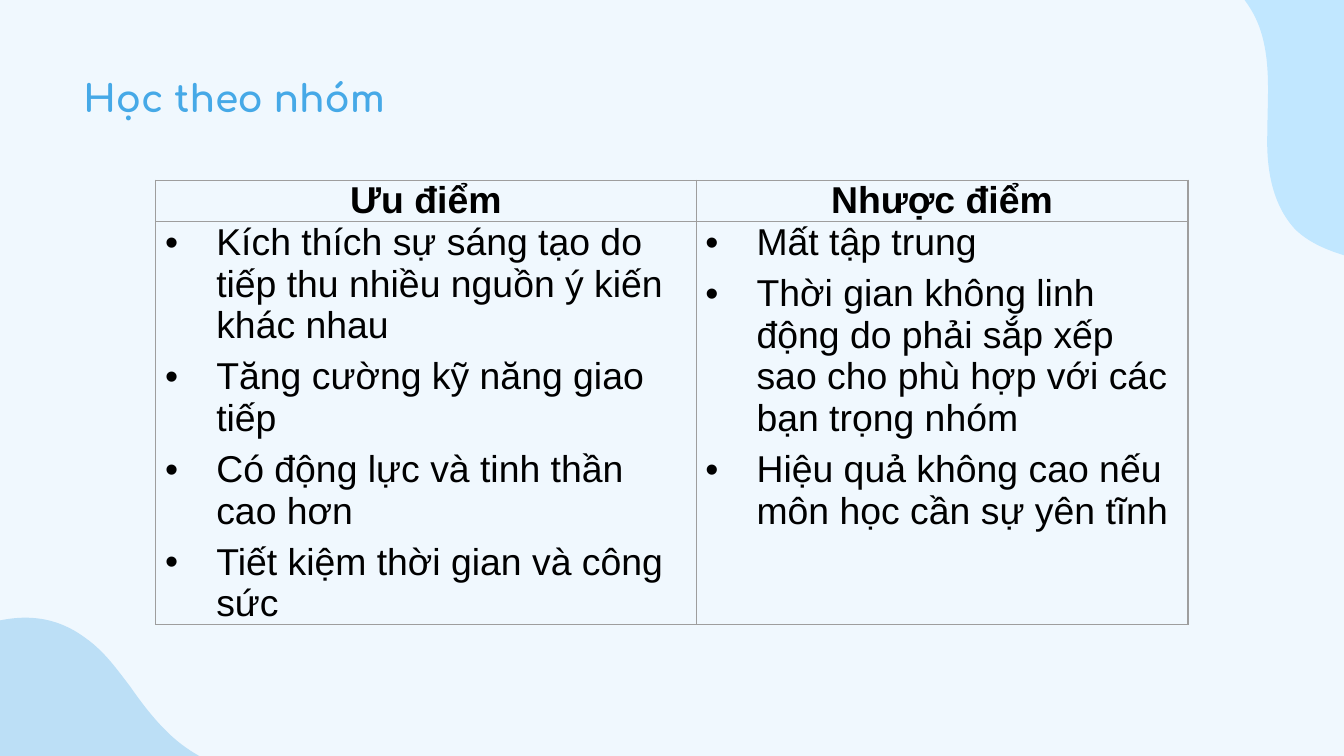
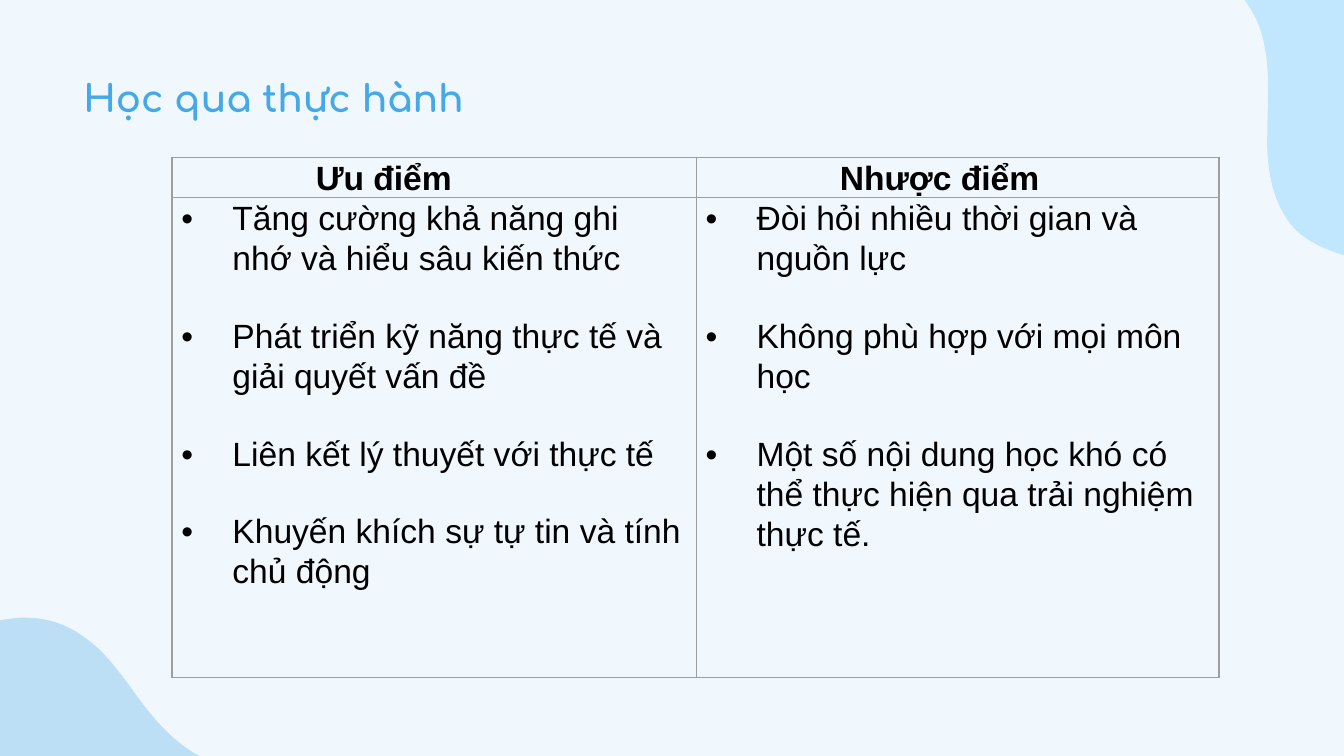
"""Build two slides that compare the pros and cons of ways of studying."""
from lxml.etree import SubElement
from pptx import Presentation
from pptx.dml.color import RGBColor
from pptx.enum.text import MSO_ANCHOR, MSO_AUTO_SIZE, PP_ALIGN
from pptx.oxml import parse_xml
from pptx.oxml.ns import nsdecls, qn
from pptx.util import Inches, Pt

PAPER = RGBColor(0xF0, 0xF8, 0xFE)
BLUE = RGBColor(0x46, 0xA9, 0xE7)
BLACK = RGBColor(0x00, 0x00, 0x00)
BORDER = RGBColor(0x9E, 0x9E, 0x9E)
LOWER_WAVE = RGBColor(0xBC, 0xDF, 0xF6)
UPPER_WAVE = RGBColor(0xC1, 0xE7, 0xFF)

LOWER_CURVES = [
    (2.9, 6.38), (2.86, 6.26), (2.71, 6), (2.5, 5.91),
    (2.24, 5.81), (1.68, 5.84), (1.28, 5.48),
    (1.16, 5.37), (1.06, 5.24), (0.97, 5.11),
    (0.87, 4.98), (0.78, 4.85), (0.64, 4.75),
    (0.16, 4.39), (-0.34, 4.75), (-0.81, 4.93),
    (-1.08, 5.02), (-1.36, 5.05), (-1.63, 4.93),
    (-1.87, 4.82), (-1.96, 4.63), (-2.05, 4.41)]
LOWER_CORNER = (-2.08, 6.17)
UPPER_CURVES = [
    (9, -0.25), (9.16, -0.13), (9.3, 0.01), (9.37, 0.2),
    (9.46, 0.45), (9.43, 0.72), (9.43, 0.98),
    (9.42, 1.24), (9.46, 1.52), (9.64, 1.71),
    (9.84, 1.9), (10.14, 1.92), (10.39, 2.02)]
UPPER_CORNER = (10.39, -0.25)

HEADERS = ["Ưu điểm", "Nhược điểm"]
GROUP_STUDY = [
    ["Kích thích sự sáng tạo do tiếp thu nhiều nguồn ý kiến khác nhau",
     "Tăng cường kỹ năng giao tiếp",
     "Có động lực và tinh thần cao hơn",
     "Tiết kiệm thời gian và công sức"],
    ["Mất tập trung",
     "Thời gian không linh động do phải sắp xếp sao cho phù hợp với các bạn trọng nhóm",
     "Hiệu quả không cao nếu môn học cần sự yên tĩnh"]]
PRACTICE = [
    ["Tăng cường khả năng ghi nhớ và hiểu sâu kiến thức",
     "Phát triển kỹ năng thực tế và giải quyết vấn đề",
     "Liên kết lý thuyết với thực tế",
     "Khuyến khích sự tự tin và tính chủ động"],
    ["Đòi hỏi nhiều thời gian và nguồn lực",
     "Không phù hợp với mọi môn học",
     "Một số nội dung học khó có thể thực hiện qua trải nghiệm thực tế."]]


class Deck:
    """Hold the shared style and the current slide."""

    def __init__(self):
        self.prs = Presentation()
        self.prs.slide_width, self.prs.slide_height = Inches(10), Inches(5.625)
        self.layout = self.prs.slide_layouts[5]
        self.slide = None
        fill = self.prs.slide_master.background.fill
        fill.solid()
        fill.fore_color.rgb = PAPER

    def add_slide(self, title, width):
        """Start a slide with its title."""
        self.slide = self.prs.slides.add_slide(self.layout)
        sp = self.slide.shapes.title
        sp.left, sp.top, sp.width, sp.height = map(Inches, (0.52, 0.41, width, 0.63))
        tf = sp.text_frame
        tf.text = title
        tf.word_wrap = True
        tf.auto_size = MSO_AUTO_SIZE.NONE
        tf.vertical_anchor = MSO_ANCHOR.MIDDLE
        tf.margin_left = tf.margin_right = tf.margin_top = tf.margin_bottom = Inches(0.1)
        p = tf.paragraphs[0]
        p.alignment = PP_ALIGN.LEFT
        self.style(p, "Comfortaa", 20, BLUE, True)

    def layout_wave(self, curves, corner, color):
        """Draw a wave of cubic curves and move it to the layout."""
        start, *rest = [(Inches(x), Inches(y)) for x, y in curves + [corner]]
        builder = self.slide.shapes.build_freeform(*start)
        builder.add_line_segments(rest, close=True)
        sp = builder.convert_to_shape()
        sp.shadow.inherit = False
        sp.fill.solid()
        sp.fill.fore_color.rgb = color
        sp.line.fill.background()
        lines = list(sp.element.iter(qn("a:lnTo")))
        for i in range(0, len(curves) - 1, 3):
            curve = parse_xml(f'<a:cubicBezTo {nsdecls("a")}/>')
            lines[i].addprevious(curve)
            for line in lines[i:i + 3]:
                curve.append(line[0])
                line.getparent().remove(line)
        self.layout.shapes.element.insert(2, sp.element)

    def style(self, p, font, size, color, bold):
        """Format the runs of a paragraph."""
        for r in p.runs:
            r.font.name, r.font.size, r.font.bold = font, Pt(size), bold
            r.font.color.rgb = color

    def indent(self, p, left, first=0):
        """Set the left and first-line indents of a paragraph."""
        pPr = p._p.get_or_add_pPr()
        pPr.set("marL", str(Inches(left)))
        pPr.set("indent", str(Inches(first)))
        return pPr

    def bullet(self, p):
        """Give a paragraph a black hanging bullet."""
        pPr = self.indent(p, 0.38, -0.38)
        SubElement(SubElement(pPr, qn("a:buClr")), qn("a:srgbClr"), val=str(BLACK))
        SubElement(pPr, qn("a:buFont"), typeface="Arial")
        SubElement(pPr, qn("a:buChar"), char="•")

    def frame(self, cell):
        """Clear a cell's fill, set its margins and draw its borders."""
        cell.fill.background()
        cell.margin_left = cell.margin_right = Inches(0.07)
        cell.margin_top = cell.margin_bottom = 0
        tcPr = cell._tc.get_or_add_tcPr()
        for i, side in enumerate("LRTB"):
            tcPr.insert(i, parse_xml(
                f'<a:ln{side} {nsdecls("a")} w="{Pt(0.75)}"><a:solidFill>'
                f'<a:srgbClr val="{BORDER}"/></a:solidFill></a:ln{side}>'))

    def comparison(self, left, top, widths, body_height, columns, size,
                   before=0, after=0, spacing=1.0, header_indent=None):
        """Add a table of headed bullet lists; headers centre unless indented."""
        heights = (0.3, body_height)
        table = self.slide.shapes.add_table(
            2, len(columns), Inches(left), Inches(top),
            Inches(sum(widths)), Inches(sum(heights))).table
        table.first_row = table.horz_banding = False
        for row, height in zip(table.rows, heights):
            row.height = Inches(height)
        for i, (header, items) in enumerate(zip(HEADERS, columns)):
            table.columns[i].width = Inches(widths[i])
            head, body = table.cell(0, i), table.cell(1, i)
            head.text, body.text = header, "\n".join(items)
            self.frame(head)
            self.frame(body)
            p = head.text_frame.paragraphs[0]
            p.line_spacing = spacing
            if header_indent is None:
                p.alignment = PP_ALIGN.CENTER
            else:
                self.indent(p, header_indent)
            self.style(p, "Arial", size, BLACK, True)
            for p in body.text_frame.paragraphs:
                p.line_spacing = spacing
                p.space_before, p.space_after = Pt(before), Pt(after)
                self.bullet(p)
                self.style(p, "Arial", size, BLACK, False)


def main():
    """Build and save the deck."""
    deck = Deck()
    deck.add_slide("Học theo nhóm", 5.28)
    deck.layout_wave(UPPER_CURVES, UPPER_CORNER, UPPER_WAVE)
    deck.layout_wave(LOWER_CURVES, LOWER_CORNER, LOWER_WAVE)
    deck.comparison(1.16, 1.34, (4.02, 3.66), 2.99, GROUP_STUDY, 20, after=5)
    deck.add_slide("Học qua thực hành", 4.17)
    deck.comparison(1.28, 1.17, (3.9, 3.89), 3.57, PRACTICE, 18,
                    before=10, after=10, spacing=1.07, header_indent=1)
    deck.prs.save("out.pptx")


if __name__ == "__main__":
    main()
